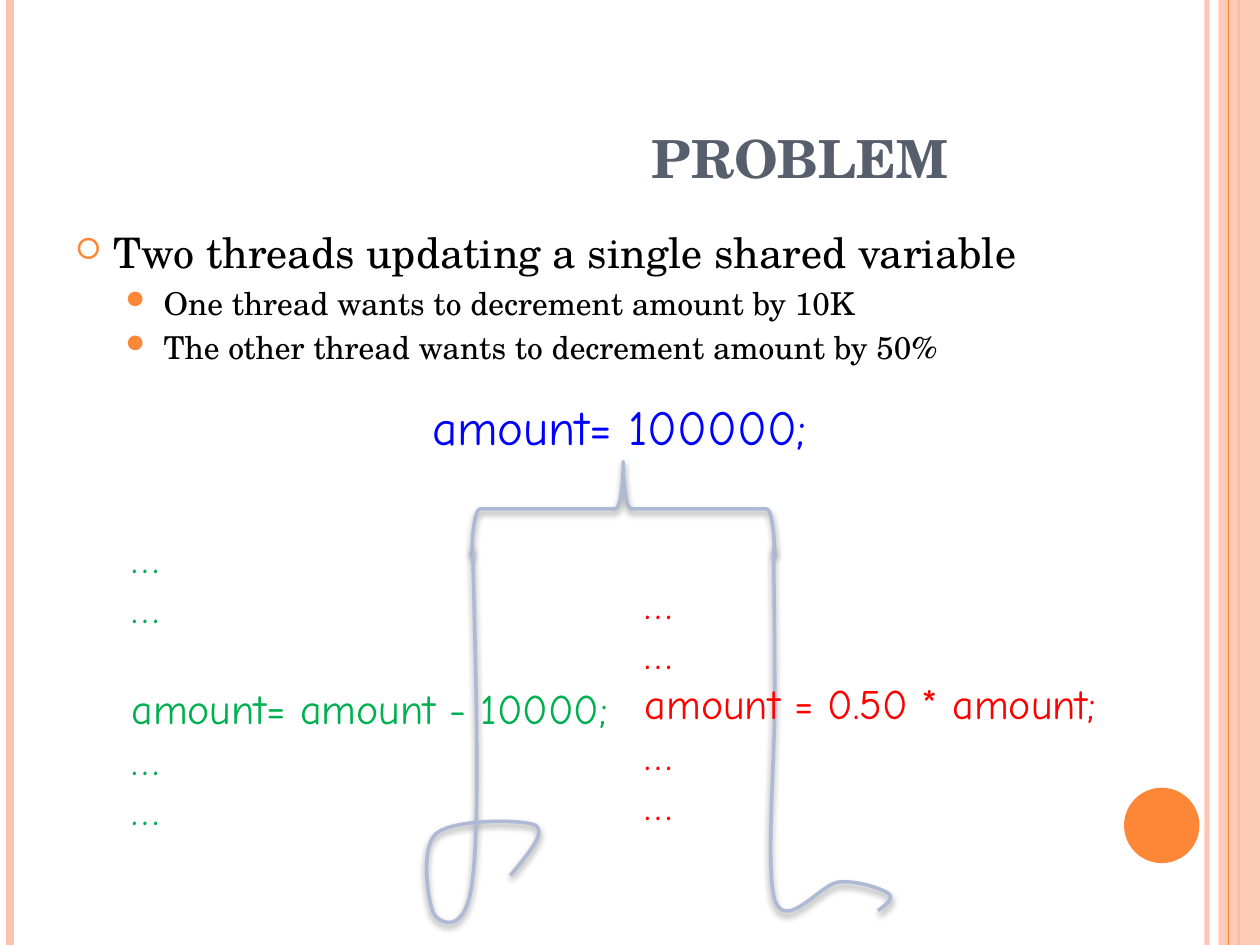
from dataclasses import dataclass

from lxml.etree import SubElement as Sub
from pptx import Presentation
from pptx.dml.color import RGBColor as Rgb
from pptx.enum.shapes import MSO_CONNECTOR as Link, MSO_SHAPE as Kind
from pptx.enum.text import MSO_ANCHOR as Anchor, MSO_AUTO_SIZE as Fit, PP_ALIGN as Align
from pptx.oxml.ns import qn
from pptx.util import Cm, Pt

HUES = {
    "peach": "FEC3AE", "orange": "FE8637", "slate": "575F6D", "black": "000000",
    "blue": "0000FF", "red": "FF0000", "green": "00B050", "thread": "AEBAD5",
}
SERIF, HAND = "TeX Gyre Schola", "Comic Neue"
WIDE, HIGH = 25.4, 19.05


@dataclass
class Rule:
    x: float
    hue: str
    width: float
    alpha: int = 100


@dataclass
class Mark:
    sign: str
    font: str
    scale: int
    indent: float
    level: int


@dataclass
class Item:
    text: str
    size: float
    hue: str
    font: str
    before: float = 0
    mark: Mark | None = None


@dataclass
class Note:
    box: tuple[float, float, float, float]
    items: list[Item]
    wrap: bool = False
    fit: bool = True


@dataclass
class Curve:
    box: tuple[float, float, float, float]
    start: tuple[float, float]
    bends: list[tuple[float, ...]]


def paint(form, hue: str, alpha: int = 100) -> None:
    form.solid()
    form.fore_color.rgb = Rgb.from_string(HUES[hue])
    if alpha < 100:
        tint = form._xPr.find(".//" + qn("a:srgbClr"))
        Sub(tint, qn("a:alpha"), val=str(alpha * 1000))


def draw_rule(slide, rule: Rule) -> None:
    line = slide.shapes.add_connector(Link.STRAIGHT, Cm(rule.x), 0, Cm(rule.x), Cm(HIGH))
    line.line.width = Pt(rule.width)
    paint(line.line.fill, rule.hue, rule.alpha)
    Sub(line._element.spPr, qn("a:effectLst"))


def draw_block(slide, kind: Kind, box: tuple, hue: str, alpha: int = 100) -> None:
    block = slide.shapes.add_shape(kind, *map(Cm, box))
    block.shadow.inherit = False
    paint(block.fill, hue, alpha)
    block.line.fill.background()


def style_thread(shape) -> None:
    shape.fill.background()
    shape.line.width = Pt(2)
    paint(shape.line.fill, "thread")
    shape.shadow.inherit = False
    glow = Sub(shape._element.spPr.find(qn("a:effectLst")), qn("a:outerShdw"),
               blurRad=str(Pt(4)), dist=str(Pt(2)), dir="5400000", rotWithShape="0")
    tint = Sub(glow, qn("a:srgbClr"), val=HUES["black"])
    Sub(tint, qn("a:alpha"), val="40000")


def draw_curve(slide, curve: Curve) -> None:
    left, top, width, height = curve.box
    pen = slide.shapes.build_freeform(*map(Cm, curve.start))
    pen.add_line_segments([tuple(map(Cm, bend[-2:])) for bend in curve.bends], close=False)
    shape = pen.convert_to_shape()
    shape.left, shape.top, shape.width, shape.height = map(Cm, curve.box)
    track = shape._element.spPr.find(".//" + qn("a:path"))
    track.set("w", str(Cm(width)))
    track.set("h", str(Cm(height)))
    for part in list(track):
        track.remove(part)
    for tag, spots in [("a:moveTo", curve.start)] + [("a:cubicBezTo", b) for b in curve.bends]:
        part = Sub(track, qn(tag))
        for x, y in zip(spots[::2], spots[1::2]):
            Sub(part, qn("a:pt"), x=str(Cm(x - left)), y=str(Cm(y - top)))
    style_thread(shape)


def write_item(para, item: Item):
    run = para.add_run()
    run.text = item.text
    run.font.size = Pt(item.size)
    run.font.name = item.font
    run.font.color.rgb = Rgb.from_string(HUES[item.hue])
    if item.mark:
        para.level = item.mark.level
        props = para._p.get_or_add_pPr()
        props.set("marL", str(Cm(item.mark.indent)))
        props.set("indent", str(Cm(-0.76)))
        Sub(Sub(props, qn("a:buClr")), qn("a:srgbClr"), val=HUES["orange"])
        Sub(props, qn("a:buSzPct"), val=str(item.mark.scale * 1000))
        Sub(props, qn("a:buFont"), typeface=item.mark.font, charset="2")
        Sub(props, qn("a:buChar"), char=item.mark.sign)
    if item.before:
        para.space_before = Pt(item.before)
    return run


def draw_note(slide, note: Note) -> None:
    frame = slide.shapes.add_textbox(*map(Cm, note.box)).text_frame
    frame.word_wrap = note.wrap
    frame.auto_size = Fit.SHAPE_TO_FIT_TEXT if note.fit else Fit.NONE
    for spot, item in enumerate(note.items):
        para = frame.add_paragraph() if spot else frame.paragraphs[0]
        write_item(para, item)


def draw_title(slide, text: str) -> None:
    title = slide.shapes.title
    title.left, title.top, title.width, title.height = map(Cm, (1.27, 0.76, 20.75, 3.18))
    title.text_frame.vertical_anchor = Anchor.BOTTOM
    para = title.text_frame.paragraphs[0]
    para.alignment = Align.CENTER
    para._p.get_or_add_pPr().set("marL", str(Cm(2.98)))
    run = write_item(para, Item(text, 30, "slate", SERIF))
    run.font.bold = True
    run._r.get_or_add_rPr().set("cap", "small")


def code(hue: str, line: str, gap: float = 0) -> list[Item]:
    texts = ["…", "…", line, "…", "…"]
    return [Item(text, 24, hue, HAND, gap if text == line else 0) for text in texts]


RING = Mark("\uf0a1", "Wingdings", 70, 0.76, 0)
DOT = Mark("\uf097", "Wingdings 2", 80, 1.78, 1)
RULES = [
    Rule(24.33, "peach", 3, 93),
    Rule(0.21, "peach", 4.5),
    Rule(24.97, "orange", 1.5),
]
NOTES = [
    Note((1.27, 4.45, 20.75, 13.54), [
        Item("Two threads updating a single shared variable", 24, "black", SERIF, 6, RING),
        Item("One thread wants to decrement amount by 10K", 18, "black", SERIF, 3.6, DOT),
        Item("The other thread wants to decrement amount by 50%", 18, "black", SERIF, 3.6, DOT),
    ], True, False),
    Note((8.46, 7.87, 8.43, 1.45), [Item("amount= 100000;", 28, "blue", HAND)]),
]
CODES = [
    Note((12.75, 11.51, 10.13, 5.38), code("red", "amount = 0.50 * amount;")),
    Note((2.4, 10.59, 10.8, 7.44), code("green", "amount= amount - 10000;", 28.8), True, False),
]
CURVES = [
    Curve((8.46, 11.05, 2.59, 7.87), (9.53, 11.05), [
        (9.6, 13.77, 9.68, 16.46, 9.53, 17.7),
        (9.4, 18.92, 8.86, 18.59, 8.76, 18.44),
        (8.64, 18.29, 8.46, 17.09, 8.79, 16.81),
        (9.12, 16.51, 10.54, 16.51, 10.8, 16.64),
        (11.02, 16.79, 10.64, 17.22, 10.29, 17.65),
    ]),
    Curve((15.42, 11.02, 2.62, 7.77), (15.6, 11.02), [
        (15.6, 11.81, 15.62, 12.6, 15.62, 13.79),
        (15.65, 14.99, 15.42, 17.48, 15.62, 18.14),
        (15.85, 18.8, 16.54, 17.81, 16.92, 17.78),
        (17.3, 17.75, 17.75, 17.91, 17.91, 18.01),
        (18.03, 18.11, 17.86, 18.24, 17.7, 18.36),
    ]),
]

deck = Presentation()
deck.slide_width, deck.slide_height = Cm(WIDE), Cm(HIGH)
slide = deck.slides.add_slide(deck.slide_layouts[5])
for rule in RULES:
    draw_rule(slide, rule)
draw_block(slide, Kind.RECTANGLE, (24.56, 0, 0.84, HIGH), "peach", 87)
draw_rule(slide, Rule(24.77, "orange", 0.75))
draw_block(slide, Kind.OVAL, (22.66, 15.88, 1.52, 1.52), "orange")
draw_title(slide, "PROBLEM")
for note in NOTES:
    draw_note(slide, note)
brace = slide.shapes.add_shape(Kind.RIGHT_BRACE, *map(Cm, (11.61, 7.21, 1.91, 6.1)))
brace.rotation = 270
style_thread(brace)
for curve in CURVES:
    draw_curve(slide, curve)
for note in CODES:
    draw_note(slide, note)
deck.save("out.pptx")
